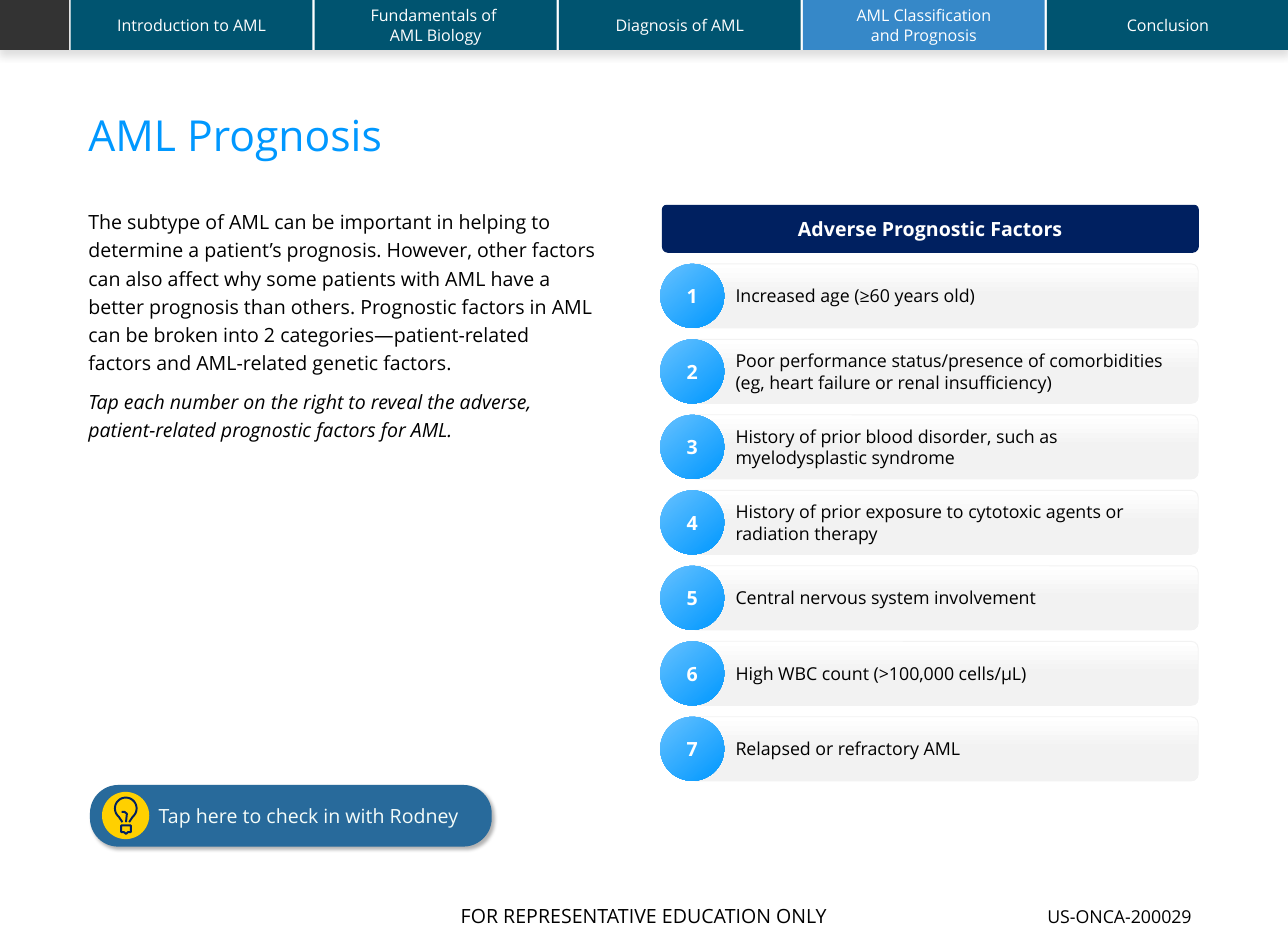
"""Builds the AML Prognosis training slide."""
import copy
import math

from lxml import etree
from pptx import Presentation
from pptx import util as u
from pptx.dml.color import RGBColor
from pptx.enum import shapes, text
from pptx.oxml.ns import qn

TABS = ["Introduction to AML", "Fundamentals of \vAML Biology", "Diagnosis of AML",
        "AML Classification\vand Prognosis", "Conclusion"]
ACTIVE_TAB = 3
TITLE = "AML Prognosis"
INTRO = ("The subtype of AML can be important in helping to determine a patient’s prognosis. "
         "However, other factors can also affect why some patients with AML have a better "
         "prognosis than others. Prognostic factors in AML can be broken into 2 "
         "categories—patient-related factors and AML-related genetic factors.")
PROMPT = ("Tap each number on the right to reveal the adverse,\v"
          "patient-related prognostic factors for AML.")
BANNER = "Adverse Prognostic Factors"
FACTORS = ["Increased age (≥60 years old)",
           "Poor performance status/presence of comorbidities\v"
           "(eg, heart failure or renal insufficiency)",
           "History of prior blood disorder, such as \vmyelodysplastic syndrome",
           "History of prior exposure to cytotoxic agents or radiation therapy",
           "Central nervous system involvement",
           "High WBC count (>100,000 cells/μL)",
           "Relapsed or refractory AML"]
BUTTON = "Tap here to check in with Rodney"
FOOTER = "FOR REPRESENTATIVE EDUCATION ONLY"
CODE = "US-ONCA-200029"

FONT = "Open Sans"
WIDTH, HEIGHT = 724.5, 528
FOOTER_HEIGHT = 25.9
TAB_LEFT, TAB_STEP, TAB_WIDTH, TAB_HEIGHT = 39.7, 137.3, 136.1, 28.1
ROW_TOP, ROW_STEP, ROW_HEIGHT = 148.4, 42.45, 36
ROW_GRADIENT = [(0, "FFFFFF"), (50, "F2F2F2"), (100, "F2F2F2")]
BALL_GRADIENT = [(0, "66C1FF"), (100, "0098FF")]
BULB_ARC = [(70.8 + 6.1 * math.cos(math.radians(angle)),
             454.6 + 6.1 * math.sin(math.radians(angle))) for angle in range(130, 411, 10)]
BULB_LINES = [[(68.9, 462.3)] + BULB_ARC + [(72.7, 462.3)],
              [(68.2, 464.2), (73.6, 464.2), (73.6, 467.9), (72.1, 467.9),
               (70.9, 468.9), (69.7, 467.9), (68.2, 467.9), (68.2, 464.2)],
              [(68.4, 456.5), (70, 456.5), (71.4, 457.6), (70.9, 462.3)]]
SHAPE = shapes.MSO_SHAPE
CENTER, LEFT = text.PP_ALIGN.CENTER, text.PP_ALIGN.LEFT
MIDDLE, TOP = text.MSO_ANCHOR.MIDDLE, text.MSO_ANCHOR.TOP


def rgb(value):
    return RGBColor.from_string(value)


def style_para(para, size, color, align=LEFT, bold=False, italic=False):
    para.alignment = align
    for span in para.runs:
        span.font.name, span.font.size = FONT, u.Pt(size)
        span.font.bold, span.font.italic = bold, italic
        span.font.color.rgb = rgb(color)
    for line_break in para._p.findall(qn("a:br")):
        line_break.insert(0, copy.deepcopy(para.runs[0]._r.rPr))


def write(box, content, size, color, align=LEFT, bold=False, inset=0, anchor=MIDDLE):
    frame = box.text_frame
    frame.text = content
    frame.word_wrap, frame.vertical_anchor = True, anchor
    frame.margin_left = u.Pt(inset)
    frame.margin_right = frame.margin_top = frame.margin_bottom = 0
    for para in frame.paragraphs:
        style_para(para, size, color, align, bold)
    return frame


def add_box(parent, kind, left, top, width, height, fill=None, line=None, corners=()):
    box = parent.add_shape(kind, *map(u.Pt, (left, top, width, height)))
    box.shadow.inherit = False
    for index, value in enumerate(corners):
        box.adjustments[index] = value
    if fill:
        box.fill.solid()
        box.fill.fore_color.rgb = rgb(fill)
    if line:
        box.line.color.rgb, box.line.width = rgb(line), u.Pt(0.5)
    else:
        box.line.fill.background()
    return box


def add_label(parent, left, top, width, height):
    return parent.add_textbox(*map(u.Pt, (left, top, width, height)))


def add_child(parent, tag, **attributes):
    return etree.SubElement(parent, qn(tag), {key: str(value) for key, value in attributes.items()})


def set_gradient(box, stops, angle):
    box.fill.gradient()
    gradient = box._element.spPr.find(qn("a:gradFill"))
    for child in list(gradient):
        gradient.remove(child)
    stop_list = add_child(gradient, "a:gsLst")
    for position, color in stops:
        add_child(add_child(stop_list, "a:gs", pos=position * 1000), "a:srgbClr", val=color)
    add_child(gradient, "a:lin", ang=angle * 60000, scaled=0)


def set_shadow(box, opacity, blur, distance, angle):
    effects = box._element.spPr.find(qn("a:effectLst"))
    shadow = add_child(effects, "a:outerShdw", blurRad=u.Pt(blur), dist=u.Pt(distance),
                       dir=angle * 60000, algn="tl", rotWithShape=0)
    add_child(add_child(shadow, "a:srgbClr", val="000000"), "a:alpha", val=opacity * 1000)


def add_frame(parent):
    footer = add_box(parent, SHAPE.RECTANGLE, 0, HEIGHT - FOOTER_HEIGHT, WIDTH, FOOTER_HEIGHT,
                     "FFFFFF")
    write(footer, FOOTER, 11, "000000", CENTER)
    write(add_label(parent, 580, 509.4, 99.4, 12.2), CODE, 10, "000000", CENTER, anchor=TOP)
    bar = add_box(parent, SHAPE.RECTANGLE, 0, 0, WIDTH, TAB_HEIGHT, "FFFFFF")
    set_shadow(bar, 13, 4, 3, 90)
    add_box(parent, SHAPE.RECTANGLE, 0, 0, 38.9, TAB_HEIGHT, "333333")
    for index, name in enumerate(TABS):
        tab = add_box(parent, SHAPE.RECTANGLE, TAB_LEFT + index * TAB_STEP, 0, TAB_WIDTH,
                      TAB_HEIGHT, "3688C8" if index == ACTIVE_TAB else "005470")
        write(tab, name, 9, "FFFFFF", CENTER)


def add_copy(parent):
    title = write(add_label(parent, 49.7, 64.4, 624, 26), TITLE, 24, "0098FF", anchor=TOP)
    title.paragraphs[0].line_spacing = 0.9
    body = write(add_label(parent, 49.7, 115.5, 286.6, 173.5), INTRO, 11, "000000", anchor=TOP)
    prompt = body.add_paragraph()
    prompt.text = PROMPT
    style_para(prompt, 11, "000000", italic=True)
    for para in body.paragraphs:
        para.line_spacing, para.space_after = 1.2, u.Pt(6)


def add_factors(parent):
    for index, factor in enumerate(FACTORS):
        top = ROW_TOP + index * ROW_STEP
        row = add_box(parent, SHAPE.ROUNDED_RECTANGLE, 387.4, top, 286.6, ROW_HEIGHT,
                      line="F2F2F2", corners=[0.11])
        set_gradient(row, ROW_GRADIENT, 90)
        write(row, factor, 10, "000000", inset=25.2)
        ball = add_box(parent, SHAPE.OVAL, 371.4, top, ROW_HEIGHT, ROW_HEIGHT)
        set_gradient(ball, BALL_GRADIENT, 50)
        write(ball, str(index + 1), 11, "FFFFFF", CENTER, bold=True)
    banner = add_box(parent, SHAPE.ROUND_2_SAME_RECTANGLE, 372.6, 115.4, 301.5, 26.5,
                     "002060", "002060", [0.09, 0.12])
    write(banner, BANNER, 11, "FFFFFF", CENTER, bold=True)


def add_button(parent):
    group = parent.add_group_shape().shapes
    button = add_box(group, SHAPE.ROUNDED_RECTANGLE, 50.6, 441.4, 226, 34.7,
                     "286A9B", corners=[0.46])
    set_shadow(button, 30, 2, 2, 45)
    write(button, BUTTON, 11, "F4FCF9", inset=34)
    add_box(group, SHAPE.OVAL, 57.4, 445.3, 26.6, 26.6, "FFD000")
    for points in BULB_LINES:
        corners = [(u.Pt(x), u.Pt(y)) for x, y in points]
        builder = group.build_freeform(*corners[0])
        builder.add_line_segments(corners[1:], close=False)
        stroke = builder.convert_to_shape()
        stroke.shadow.inherit = False
        stroke.fill.background()
        stroke.line.color.rgb, stroke.line.width = rgb("002060"), u.Pt(1.1)


def main():
    deck = Presentation()
    deck.slide_width, deck.slide_height = u.Pt(WIDTH), u.Pt(HEIGHT)
    page = deck.slides.add_slide(deck.slide_layouts[6]).shapes
    add_frame(page)
    add_copy(page)
    add_factors(page)
    add_button(page)
    deck.save("out.pptx")


if __name__ == "__main__":
    main()
